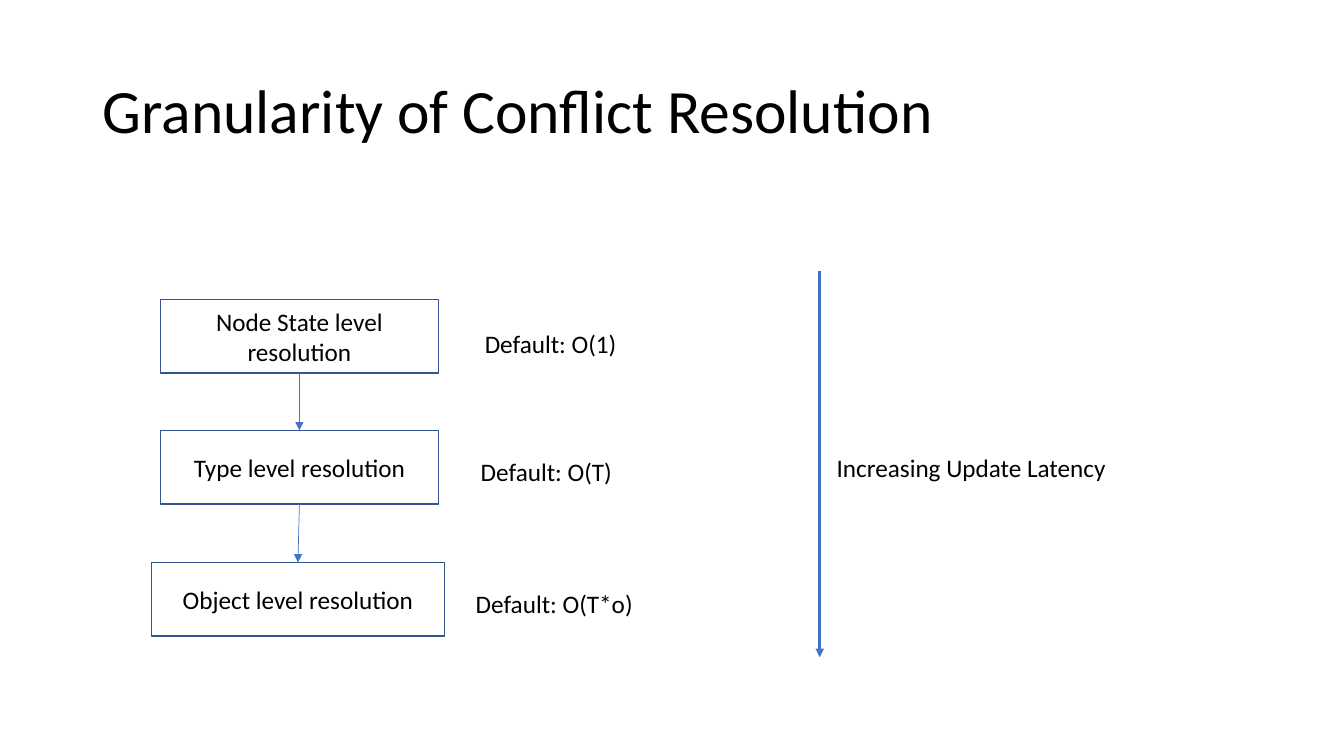
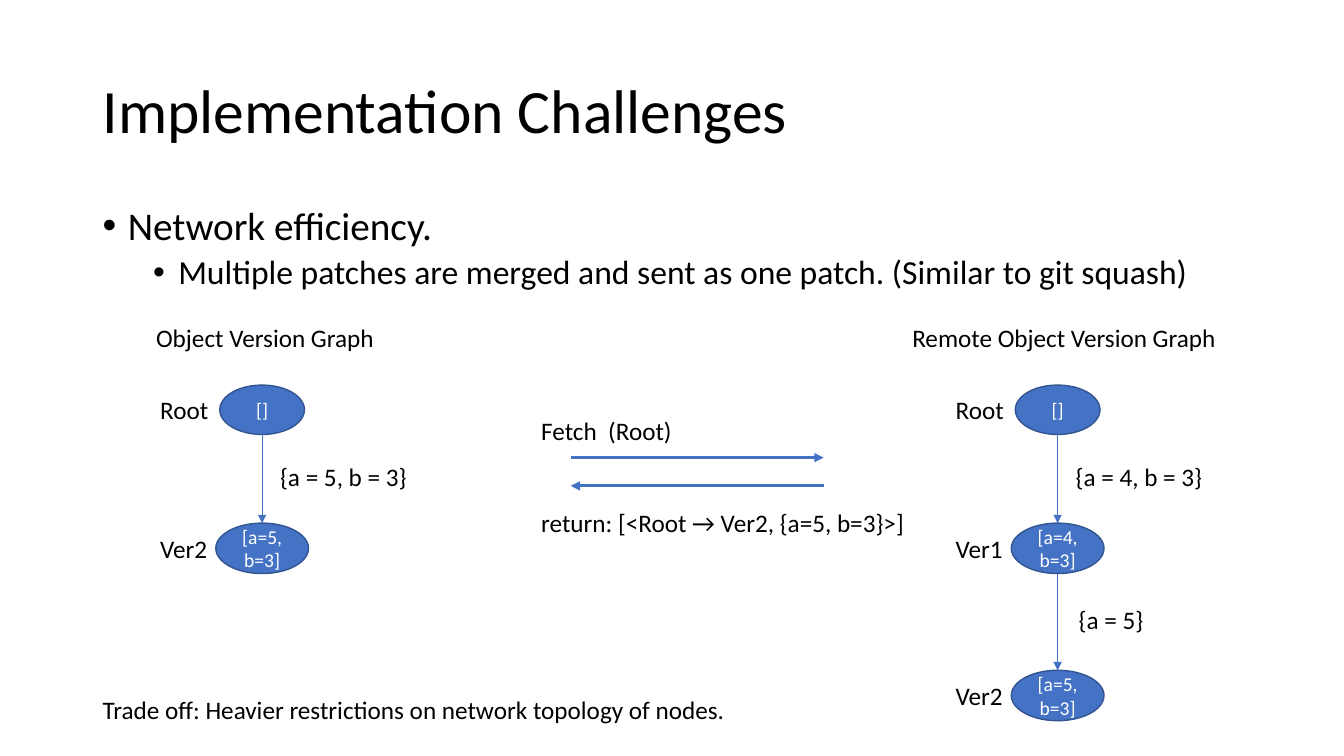
from lxml import etree
from pptx import Presentation
from pptx import util as u
from pptx.dml.color import RGBColor
from pptx.enum import shapes, text
from pptx.oxml.ns import qn

BLUE = RGBColor(0x44, 0x72, 0xC4)
DARK_BLUE = RGBColor(0x32, 0x54, 0x91)
BLACK = RGBColor(0, 0, 0)
WHITE = RGBColor(0xFF, 0xFF, 0xFF)
FONT = "Calibri"
TEXT_HEIGHT = 0.4

# Slide 1: resolution levels as (text, left, top, width), costs as (text, left, top)
LEVELS = [
    ("Node State level resolution", 1.59, 2.97, 2.76),
    ("Type level resolution", 1.59, 4.27, 2.76),
    ("Object level resolution", 1.5, 5.58, 2.91),
]
LEVEL_HEIGHT = 0.73
COSTS = [
    ("Default: O(1)", 4.71, 3.21),
    ("Default: O(T)", 4.67, 4.48),
    ("Default: O(T*o)", 4.62, 5.79),
]

# Slide 2: bullets as (text, size, indent, space before)
BULLETS = [
    ("Network efficiency.", 28, 0.25, 10),
    ("Multiple patches are merged and sent as one patch. (Similar to git squash)", 24, 0.75, 5),
]
# Version graphs: versions as (name, state), patches as (text, offset from the centre)
GRAPHS = [
    {"title": ("Object Version Graph", 1.45), "center": 2.6,
     "versions": [("Root", "[]"), ("Ver2", "[a=5,b=3]")],
     "patches": [("{a = 5, b = 3}", 0.08)]},
    {"title": ("Remote Object Version Graph", 8.95), "center": 10.49,
     "versions": [("Root", "[]"), ("Ver1", "[a=4,b=3]"), ("Ver2", "[a=5,b=3]")],
     "patches": [("{a = 4, b = 3}", 0.08), ("{a = 5}", 0.11)]},
]
# Node rows as (top, width, height)
ROWS = [(3.82, 0.84, 0.49), (5.19, 0.92, 0.5), (6.65, 0.92, 0.5)]
MESSAGES = [("Fetch  (Root)", 4.07), ("return: [<Root → Ver2, {a=5, b=3}>]", 4.98)]
ARROWS = [(5.66, 8.17, 4.54), (8.17, 5.66, 4.82)]  # from x, to x, y


def write(para, words, size=18, color=BLACK, align=None, spacing=None):
    para.alignment = align
    para.line_spacing = spacing
    span = para.add_run()
    span.text = words
    span.font.name = FONT
    span.font.size = u.Pt(size)
    span.font.color.rgb = color


def add_frame(page, left, top, width, height):
    box = page.shapes.add_textbox(*map(u.Inches, (left, top, width, height)))
    box.text_frame.word_wrap = True
    return box.text_frame


def add_text(page, words, left, top, width, height=TEXT_HEIGHT,
             anchor=text.MSO_ANCHOR.TOP, **style):
    frame = add_frame(page, left, top, width, height)
    frame.vertical_anchor = anchor
    write(frame.paragraphs[0], words, **style)


def add_node(page, kind, words, left, top, width, height, fill=None, **style):
    node = page.shapes.add_shape(kind, *map(u.Inches, (left, top, width, height)))
    node.shadow.inherit = False
    if fill is None:
        node.fill.background()
    else:
        node.fill.solid()
        node.fill.fore_color.rgb = fill
    node.line.color.rgb = DARK_BLUE
    node.line.width = u.Pt(1)
    frame = node.text_frame
    frame.word_wrap = True
    frame.vertical_anchor = text.MSO_ANCHOR.MIDDLE
    write(frame.paragraphs[0], words, align=text.PP_ALIGN.CENTER, **style)
    return node


def add_arrow(page, x1=0, y1=0, x2=0, y2=0, weight=0.5):
    arrow = page.shapes.add_connector(
        shapes.MSO_CONNECTOR.STRAIGHT, *map(u.Inches, (x1, y1, x2, y2)))
    arrow.line.color.rgb = BLUE
    arrow.line.width = u.Pt(weight)
    etree.SubElement(arrow.get_or_add_ln(), qn("a:tailEnd"), type="triangle")
    etree.SubElement(arrow._element.spPr, qn("a:effectLst"))
    return arrow


def add_page(deck, title):
    page = deck.slides.add_slide(deck.slide_layouts[6])
    add_text(page, title, 0.92, 0.4, 11.5, 1.45,
             anchor=text.MSO_ANCHOR.MIDDLE, size=44, spacing=0.9)
    return page


def add_bullets(page):
    frame = add_frame(page, 0.92, 2, 11.5, 1.1)
    for index, (words, size, indent, before) in enumerate(BULLETS):
        para = frame.add_paragraph() if index else frame.paragraphs[0]
        write(para, words, size=size, spacing=0.9)
        para.space_before = u.Pt(before)
        props = para._p.get_or_add_pPr()
        props.set("marL", str(u.Inches(indent)))
        props.set("indent", str(u.Inches(-0.25)))
        etree.SubElement(props, qn("a:buFont"), typeface="Arial")
        etree.SubElement(props, qn("a:buChar"), char="•")


def add_graph(page, graph):
    title, title_left = graph["title"]
    center = graph["center"]
    add_text(page, title, title_left, 3.15, 3.5)
    for (name, state), (top, width, height) in zip(graph["versions"], ROWS):
        add_node(page, shapes.MSO_SHAPE.OVAL, state, center - width / 2, top,
                 width, height, fill=BLUE, size=14, color=WHITE)
        add_text(page, name, center - 1.11, top + (height - TEXT_HEIGHT) / 2, 0.8)
    # Patches sit beside the middle of each edge
    for (patch, offset), upper, lower in zip(graph["patches"], ROWS, ROWS[1:]):
        start, end = upper[0] + upper[2], lower[0]
        add_arrow(page, center, start, center, end)
        add_text(page, patch, center + offset, (start + end) / 2 - 0.22, 1.6)


def build_granularity(deck):
    page = add_page(deck, "Granularity of Conflict Resolution")
    boxes = [add_node(page, shapes.MSO_SHAPE.RECTANGLE, words, left, top, width, LEVEL_HEIGHT)
             for words, left, top, width in LEVELS]
    for upper, lower in zip(boxes, boxes[1:]):
        arrow = add_arrow(page)
        arrow.begin_connect(upper, 2)
        arrow.end_connect(lower, 0)
    for words, left, top in COSTS:
        add_text(page, words, left, top, 2.4)
    # Latency axis
    add_arrow(page, 8.13, 2.69, 8.13, 6.52, weight=2)
    add_text(page, "Increasing Update Latency", 8.2, 4.44, 3.2)


def build_challenges(deck):
    page = add_page(deck, "Implementation Challenges")
    add_bullets(page)
    for graph in GRAPHS:
        add_graph(page, graph)
    # Exchange between the two graphs
    for words, top in MESSAGES:
        add_text(page, words, 5.27, top, 4)
    for start, end, y in ARROWS:
        add_arrow(page, start, y, end, y, weight=2.25)
    add_text(page, "Trade off: Heavier restrictions on network topology of nodes.",
             0.92, 6.84, 6.8)


def main():
    deck = Presentation()
    deck.slide_width = u.Inches(13.33)
    deck.slide_height = u.Inches(7.5)
    build_granularity(deck)
    build_challenges(deck)
    deck.save("out.pptx")


if __name__ == "__main__":
    main()
